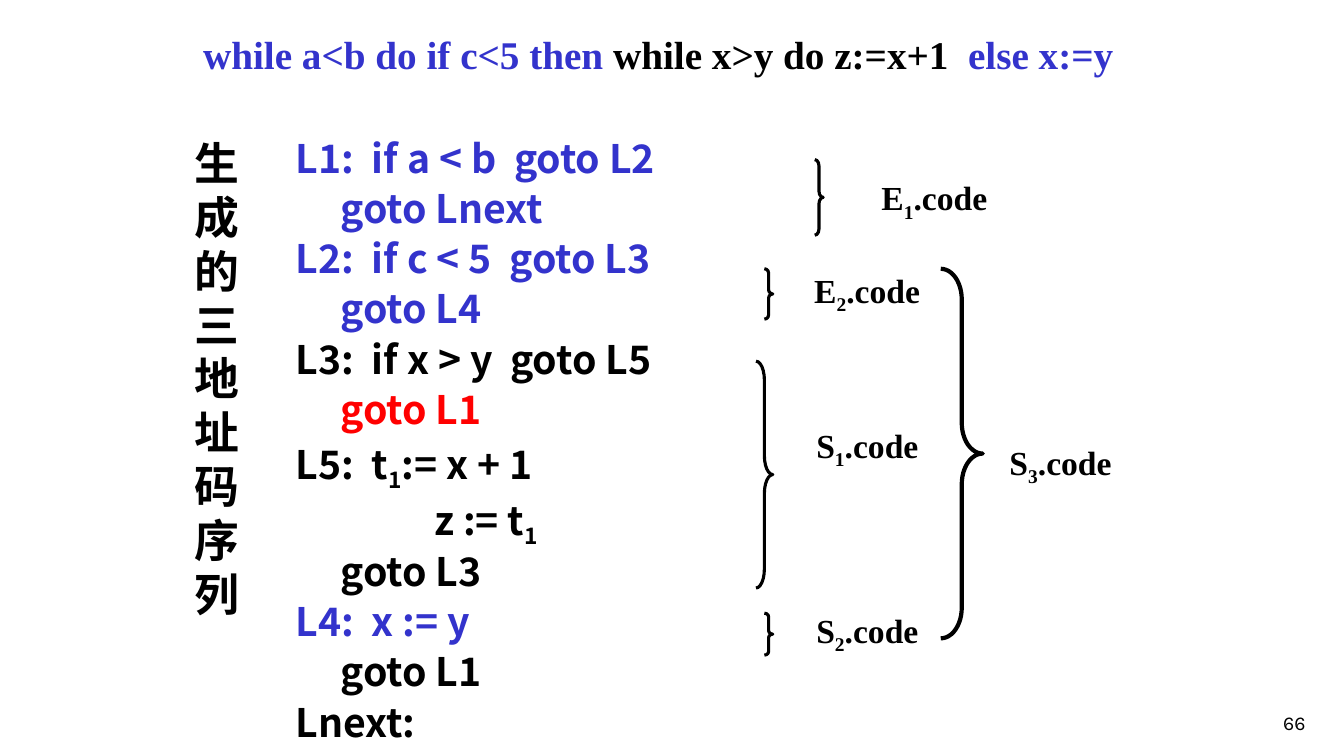
"""Build the slide that maps three-address code to its source parts."""
from lxml.etree import SubElement
from pptx import Presentation
from pptx.dml.color import RGBColor
from pptx.enum.shapes import MSO_SHAPE
from pptx.enum.text import MSO_ANCHOR, MSO_AUTO_SIZE, PP_ALIGN
from pptx.oxml.ns import qn
from pptx.util import Pt

PX = 9525
BLACK = RGBColor(0x00, 0x00, 0x00)
BLUE = RGBColor(0x33, 0x33, 0xCC)
RED = RGBColor(0xFF, 0x00, 0x00)
SANS = "Noto Sans CJK JP"
SERIF = "Times New Roman"


def scale(*box):
    return [side * PX for side in box]


def write(para, runs, size=28, font=SANS, bold=True, align=PP_ALIGN.LEFT,
          space=None, before=0, left=0):
    """Fill a paragraph from (text, colour, is subscript) runs."""
    para.alignment = align
    para.line_spacing = space
    para.space_before = Pt(before)
    props = para._p.get_or_add_pPr()
    props.set("marL", str(left * PX))
    props.set("indent", "0")
    for words, color, sub in runs:
        run = para.add_run()
        run.text = words
        run.font.size = Pt(size)
        run.font.bold = bold
        run.font.color.rgb = color
        run.font.name = font
        look = run._r.get_or_add_rPr()
        SubElement(look, qn("a:ea"), typeface=font)
        if sub:
            look.set("baseline", "-25000")


deck = Presentation()
deck.slide_width, deck.slide_height = scale(1280, 720)
slide = deck.slides.add_slide(deck.slide_layouts[5])
shapes = slide.shapes

title = shapes.title
title.left, title.top, title.width, title.height = scale(176, 40, 64, 640)
frame = title.text_frame
frame.word_wrap = True
frame.auto_size = MSO_AUTO_SIZE.NONE
frame.vertical_anchor = MSO_ANCHOR.MIDDLE
write(frame.paragraphs[0], [("生成的三地址码序列", BLACK, False)],
      size=32, space=Pt(38.5))

LABEL, STEP, DEEP = 0, 43, 132
code = [
    (LABEL, [("L1:  if a < b  goto L2", BLUE, False)]),
    (STEP, [("goto Lnext", BLUE, False)]),
    (LABEL, [("L2:  if c < 5  goto L3", BLUE, False)]),
    (STEP, [("goto L4", BLUE, False)]),
    (LABEL, [("L3:  if x > y  goto L5", BLACK, False)]),
    (STEP, [("goto L1", RED, False)]),
    (LABEL, [("L5:  t", BLACK, False), ("1", BLACK, True),
             (":= x + 1", BLACK, False)]),
    (DEEP, [("z := t", BLACK, False), ("1", BLACK, True)]),
    (STEP, [("goto L3", BLACK, False)]),
    (LABEL, [("L4:  x := y", BLUE, False)]),
    (STEP, [("goto L1", BLACK, False)]),
    (LABEL, [("Lnext:", BLACK, False)]),
]
frame = shapes.add_textbox(*scale(272, 128, 456, 592)).text_frame
frame.word_wrap = True
for row, (left, runs) in enumerate(code):
    para = frame.add_paragraph() if row else frame.paragraphs[0]
    write(para, runs, space=0.9, before=5.6, left=left)

parts = [
    ("E", "1", (776, 152, 8, 72), 0.75, 2.25, (830, 164, 122, 48)),
    ("E", "2", (728, 256, 8, 48), 0.5, 2.25, (766, 252, 122, 48)),
    ("S", "1", (720, 344, 16, 216), 1.13, 2.25, (768, 400, 118, 48)),
    ("S", "2", (728, 584, 8, 40), 0.42, 2.25, (768, 576, 118, 48)),
    ("S", "3", (896, 256, 40, 352), 0.73, 3, (952, 416, 118, 48)),
]
for name, index, span, curve, weight, spot in parts:
    brace = shapes.add_shape(MSO_SHAPE.RIGHT_BRACE, *scale(*span))
    brace.shadow.inherit = False
    brace.fill.background()
    brace.line.color.rgb = BLACK
    brace.line.width = Pt(weight)
    brace.adjustments[0] = curve
    frame = shapes.add_textbox(*scale(*spot)).text_frame
    frame.word_wrap = False
    write(frame.paragraphs[0],
          [(name, BLACK, False), (index, BLACK, True), (".code", BLACK, False)],
          size=24, font=SERIF)

frame = shapes.add_textbox(*scale(184, 24, 912, 55)).text_frame
frame.word_wrap = True
write(frame.paragraphs[0],
      [("while a<b do if c<5 then ", BLUE, False),
       ("while x>y do z:=x+1  ", BLACK, False),
       ("else x:=y", BLUE, False)],
      font=SERIF)

frame = shapes.add_textbox(*scale(986, 656, 267, 48)).text_frame
frame.word_wrap = True
frame.vertical_anchor = MSO_ANCHOR.BOTTOM
write(frame.paragraphs[0], [("66", BLACK, False)],
      size=14, font="Karla", bold=False, align=PP_ALIGN.RIGHT)

deck.save("out.pptx")
